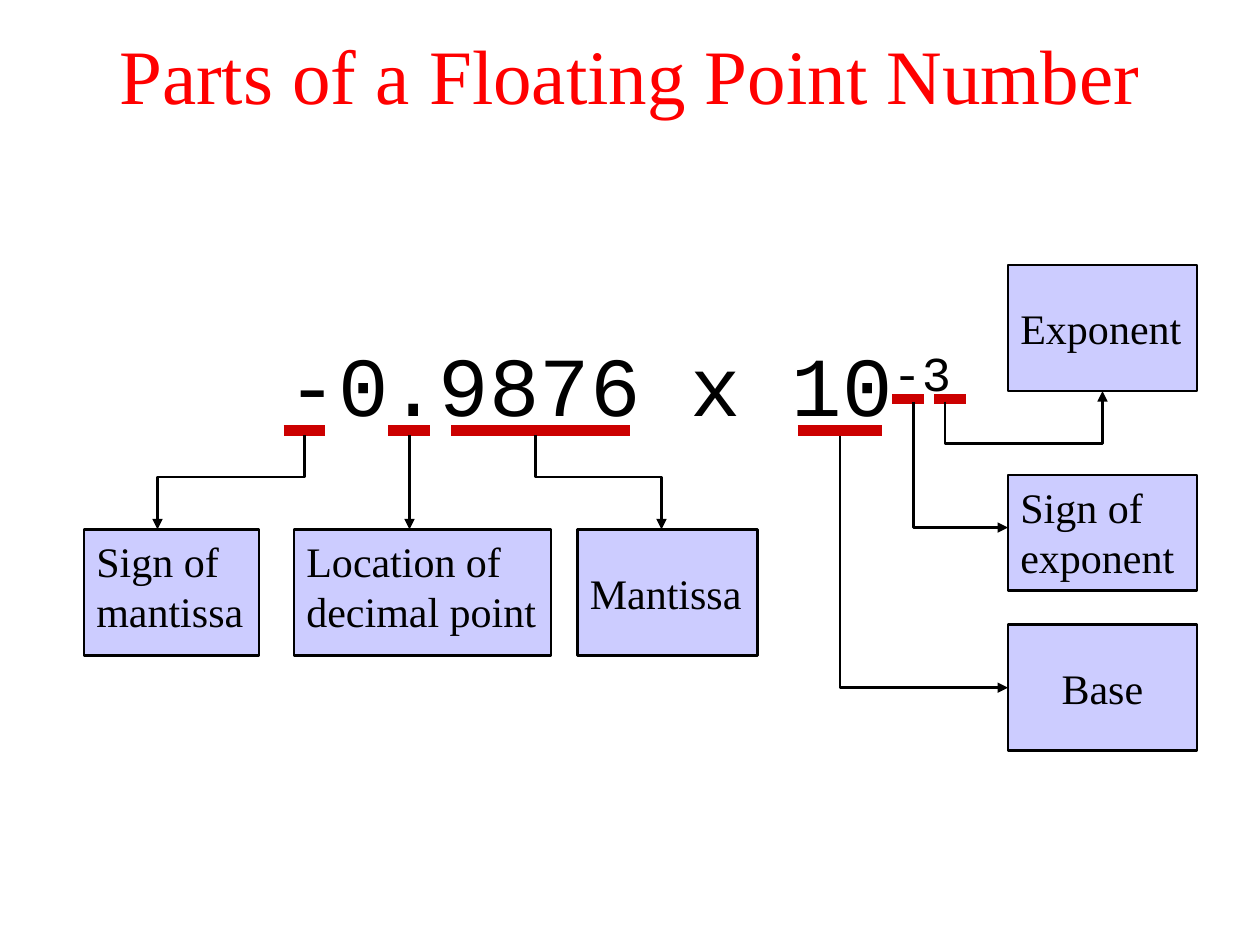
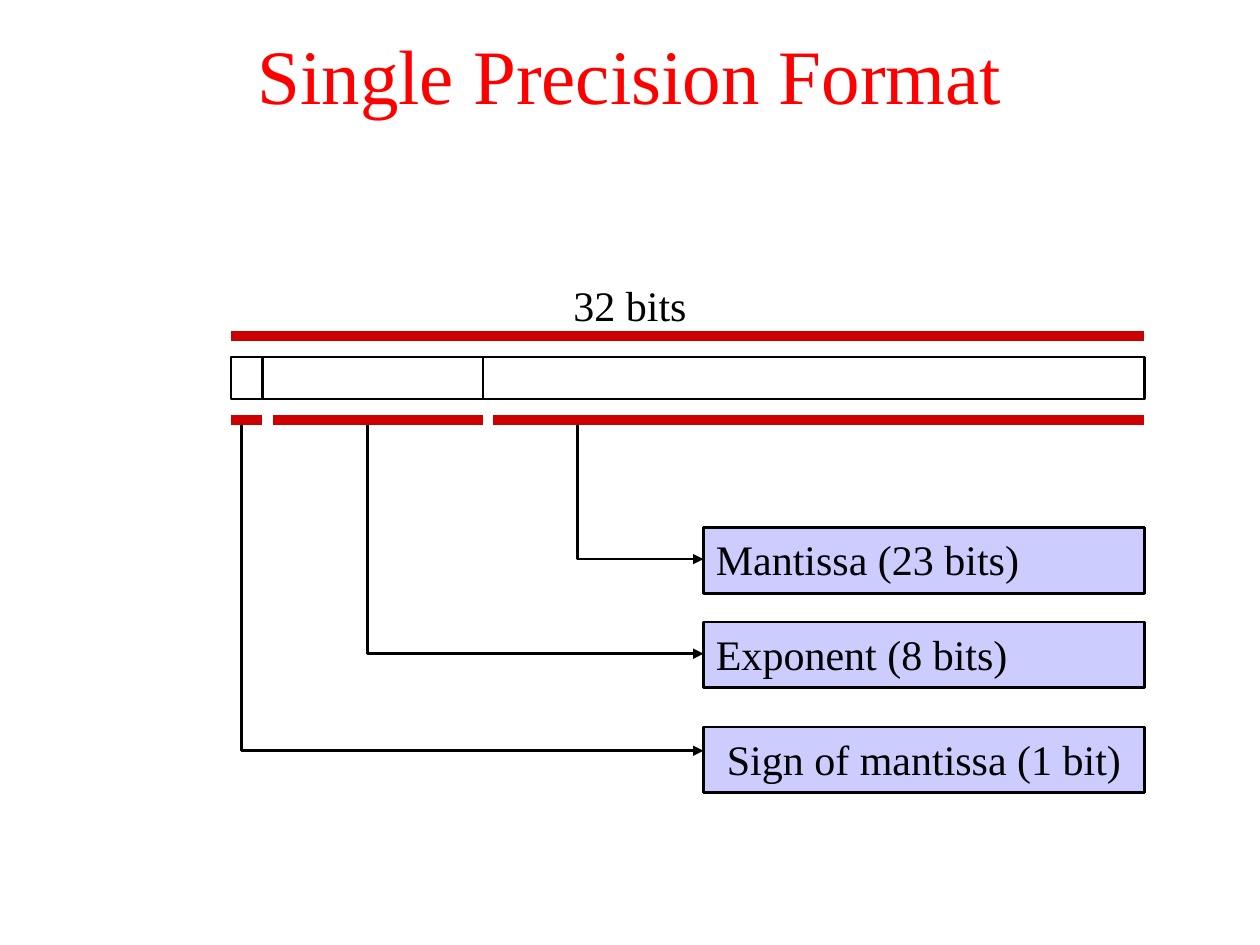
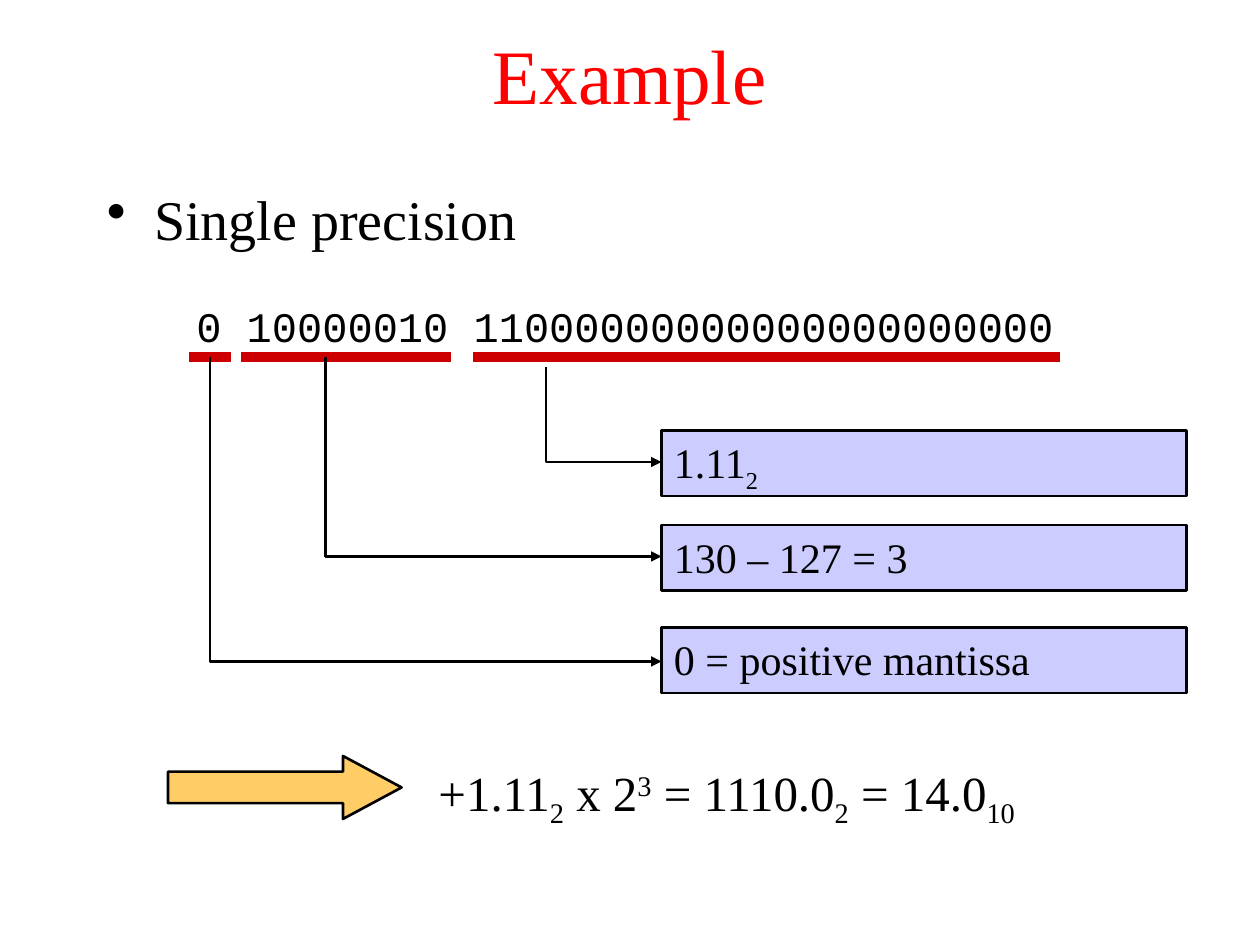
import pptx
import pptx.dml.color
import pptx.enum.shapes
import pptx.enum.text
import pptx.oxml
import pptx.oxml.ns
import pptx.util

Pt = pptx.util.Pt
SHAPES = pptx.enum.shapes.MSO_SHAPE
ALIGN = pptx.enum.text.PP_ALIGN
ANCHOR = pptx.enum.text.MSO_ANCHOR
SERIF, MONO = "Times New Roman", "Courier New"
BLACK, TITLE_RED, BAR_RED = "000000", "FF0000", "CC0000"
BOX_BLUE, ARROW_GOLD = "CCCCFF", "FFCC66"
SUB, SUPER = -25000, 30000


def color(value):
    """Turn a hex string into a colour."""
    return pptx.dml.color.RGBColor.from_string(value)


def add_xml(parent, tag, **attributes):
    """Append an empty drawing element to a parent element."""
    child = pptx.oxml.parse_xml(f"<a:{tag} {pptx.oxml.ns.nsdecls('a')}/>")
    for name, value in attributes.items():
        child.set(name, str(value))
    parent.append(child)


class Builder:
    """Hold the deck's style and draw elements on the current page."""

    def __init__(self):
        """Start an empty 10 by 7.5 inch deck."""
        self.deck = pptx.Presentation()
        self.deck.slide_width, self.deck.slide_height = Pt(720), Pt(540)
        self.page = None

    def new_page(self, title):
        """Add a blank page with a centred red title."""
        self.page = self.deck.slides.add_slide(self.deck.slide_layouts[6])
        self.text(title, 54, 12, 612, 60, size=44, ink=TITLE_RED,
                  align=ALIGN.CENTER, anchor=ANCHOR.MIDDLE)

    def set_text(self, box, content, size=24, font=SERIF, ink=BLACK, align=ALIGN.LEFT,
                 anchor=ANCHOR.TOP, wrap=True, before=0):
        """Fill a box with a string or with (text, baseline shift) pairs."""
        frame = box.text_frame
        frame.word_wrap, frame.vertical_anchor = wrap, anchor
        para = frame.paragraphs[0]
        para.alignment, para.space_before = align, Pt(before)
        if isinstance(content, str):
            para.text = content
        else:
            for words, shift in content:
                span = para.add_run()
                span.text = words
                if shift:
                    span._r.get_or_add_rPr().set("baseline", str(shift))
        for span in para.runs:
            span.font.size, span.font.name = Pt(size), font
            span.font.color.rgb = color(ink)

    def text(self, content, left, top, width, height, **style):
        """Add a text box and return its paragraph."""
        box = self.page.shapes.add_textbox(Pt(left), Pt(top), Pt(width), Pt(height))
        self.set_text(box, content, **style)
        return box.text_frame.paragraphs[0]

    def bullet(self, content, left, top, width, height, **style):
        """Add a text box with one bulleted paragraph."""
        para = self.text(content, left, top, width, height, **style)
        properties = para._p.get_or_add_pPr()
        properties.set("marL", str(Pt(27)))
        properties.set("indent", str(-Pt(27)))
        add_xml(properties, "buChar", char="•")

    def outline(self, shape, fill=None):
        """Give a shape the thin black line and an optional fill."""
        shape.shadow.inherit = False
        if fill:
            shape.fill.solid()
            shape.fill.fore_color.rgb = color(fill)
        else:
            shape.fill.background()
        shape.line.color.rgb, shape.line.width = color(BLACK), Pt(1.5)

    def shape(self, kind, left, top, width, height, fill=None):
        """Add an outlined preset shape."""
        shape = self.page.shapes.add_shape(kind, Pt(left), Pt(top), Pt(width), Pt(height))
        self.outline(shape, fill)
        return shape

    def label(self, content, left, top, width, height, **style):
        """Add a blue box with text."""
        box = self.shape(SHAPES.RECTANGLE, left, top, width, height, BOX_BLUE)
        self.set_text(box, content, **style)

    def line(self, start, end, ink=BLACK, weight=1.5):
        """Add a straight line."""
        line = self.page.shapes.add_connector(
            pptx.enum.shapes.MSO_CONNECTOR.STRAIGHT, *map(Pt, start + end))
        line.line.color.rgb, line.line.width = color(ink), Pt(weight)
        add_xml(line._element.spPr, "effectLst")
        return line

    def bar(self, left, right, y):
        """Add a thick red horizontal bar."""
        self.line((left, y), (right, y), BAR_RED, 6)

    def arrow(self, *points):
        """Add an arrow that runs through the points."""
        if len(points) == 2:
            arrow = self.line(*points)
        else:
            corners = [(Pt(x), Pt(y)) for x, y in points]
            route = self.page.shapes.build_freeform(*corners[0], scale=1.0)
            route.add_line_segments(corners[1:], close=False)
            arrow = route.convert_to_shape()
            self.outline(arrow)
        add_xml(arrow._element.spPr.get_or_add_ln(), "tailEnd", type="triangle")

    def callouts(self, left, width, rows):
        """Add a column of labels, each with an elbow arrow from a bit field."""
        for content, top, align, (x, y), tip in rows:
            self.label(content, left, top, width, 37.5, align=align)
            self.arrow((x, y), (x, tip), (left, tip))


def number_parts(builder):
    """Build the page that names the parts of a number."""
    builder.new_page("Parts of a Floating Point Number")
    builder.text([("-0.9876 x 10", 0), ("-3", SUPER)], 48, 186.5, 612, 66,
                 size=48, font=MONO, align=ALIGN.CENTER, before=6)
    for left, right, y in ((162, 186, 246), (222, 246, 246), (258, 360, 246),
                           (456, 504, 246), (510, 528, 228), (534, 552, 228)):
        builder.bar(left, right, y)
    top, middle = ANCHOR.TOP, ANCHOR.MIDDLE
    for name, left, y, width, height, anchor, align in (
            ("Sign of\nmantissa", 48, 302.5, 100, 72, top, ALIGN.LEFT),
            ("Location of\ndecimal point", 168, 302.5, 147, 72, top, ALIGN.LEFT),
            ("Mantissa", 330, 302.5, 103, 72, middle, ALIGN.LEFT),
            ("Exponent", 576, 151.5, 108, 72, middle, ALIGN.LEFT),
            ("Sign of\nexponent", 576, 271.5, 108, 66, top, ALIGN.LEFT),
            ("Base", 576, 357, 108, 72, middle, ALIGN.CENTER)):
        builder.label(name, left, y, width, height, anchor=anchor, align=align, wrap=False)
    for start, end in ((174, 90), (306, 378)):
        builder.arrow((start, 248.5), (start, 272.5), (end, 272.5), (end, 302.5))
    builder.arrow((234, 248.5), (234, 302.5))
    builder.arrow((480, 249), (480, 393), (576, 393))
    builder.arrow((522, 229.5), (522, 301.5), (576, 301.5))
    builder.arrow((540, 229.5), (540, 253.5), (630, 253.5), (630, 223.5))


def single_precision(builder):
    """Build the page that shows the 32 bit layout."""
    builder.new_page("Single Precision Format")
    for left, width in ((132, 18), (150, 126), (276, 378)):
        builder.shape(SHAPES.RECTANGLE, left, 204, width, 24)
    builder.bar(132, 654, 192)
    builder.text("32 bits", 270, 156, 180, 36, align=ALIGN.CENTER)
    builder.callouts(402, 252, (
        ("Mantissa (23 bits)", 301.5, ALIGN.LEFT, (330, 241.5), 319.5),
        ("Exponent (8 bits)", 355.5, ALIGN.LEFT, (210, 241.5), 373.5),
        ("Sign of mantissa (1 bit)", 415.5, ALIGN.CENTER, (138, 243), 429)))
    for left, right in ((282, 654), (156, 276), (132, 150)):
        builder.bar(left, right, 240)


def example(builder):
    """Build the page that decodes one number."""
    builder.new_page("Example")
    builder.bullet("Single precision", 54, 102, 612, 324, size=32)
    builder.text("0 10000010 11000000000000000000000", 78, 168, 558, 36,
                 font=MONO, align=ALIGN.CENTER, before=3)
    for left, right in ((108, 132), (138, 258), (270, 606)):
        builder.bar(left, right, 204)
    builder.callouts(378, 300, (
        ([("1.11", 0), ("2", SUB)], 246, ALIGN.LEFT, (312, 210), 264),
        ("130 – 127 = 3", 300, ALIGN.LEFT, (186, 204), 318),
        ("0 = positive mantissa", 358.5, ALIGN.LEFT, (120, 204), 378)))
    builder.text([("+1.11", 0), ("2", SUB), (" x 2", 0), ("3", SUPER), (" = 1110.0", 0),
                  ("2", SUB), (" = 14.0", 0), ("10", SUB)], 243.5, 432, 399, 41, size=28)
    result = builder.shape(SHAPES.RIGHT_ARROW, 96, 432, 133.5, 36, ARROW_GOLD)
    result.adjustments[0], result.adjustments[1] = 0.5, 0.93


def main():
    """Build and save the deck."""
    builder = Builder()
    number_parts(builder)
    single_precision(builder)
    example(builder)
    builder.deck.save("out.pptx")


if __name__ == "__main__":
    main()
